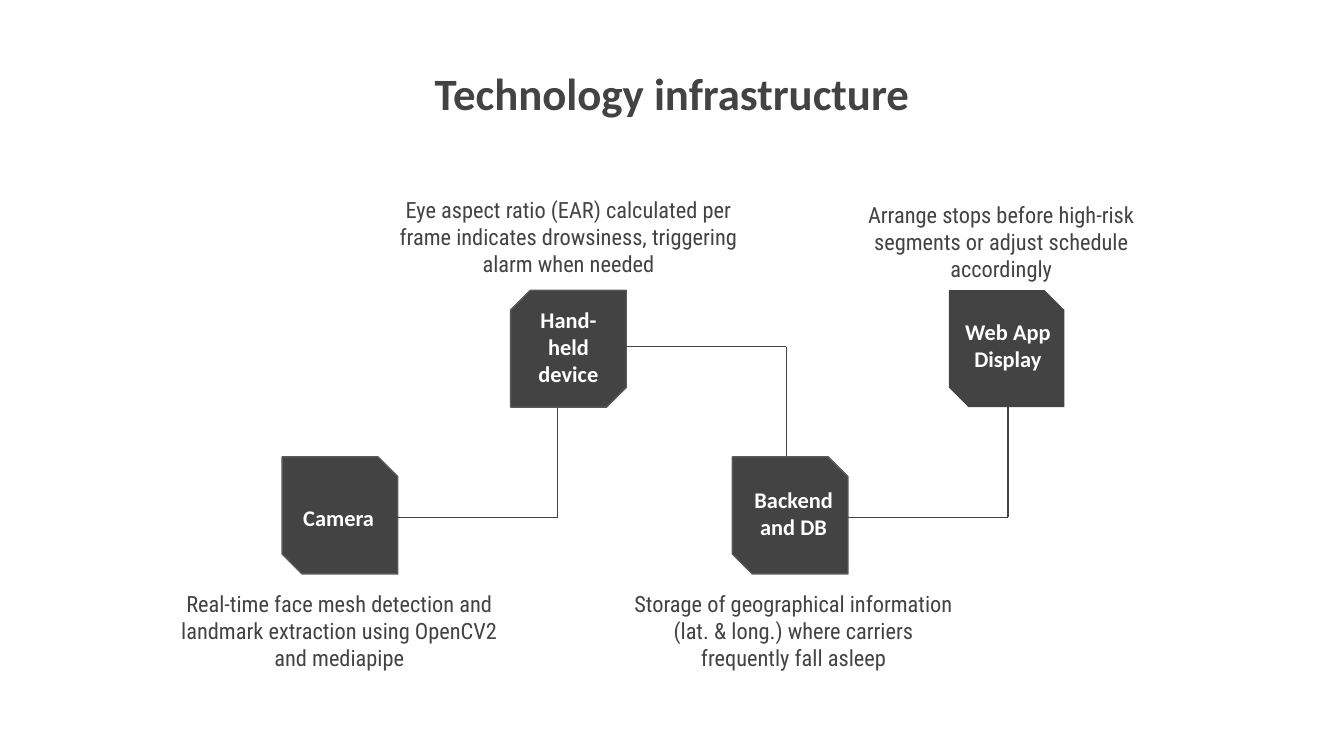
from dataclasses import dataclass

from lxml import etree
from pptx import Presentation
from pptx.dml.color import RGBColor
from pptx.enum.shapes import MSO_CONNECTOR, MSO_SHAPE
from pptx.enum.text import MSO_ANCHOR, MSO_AUTO_SIZE, PP_ALIGN
from pptx.oxml.ns import qn
from pptx.util import Inches, Pt

SNIP = MSO_SHAPE.SNIP_2_DIAG_RECTANGLE
LINE = MSO_CONNECTOR.STRAIGHT
TOP, MIDDLE = MSO_ANCHOR.TOP, MSO_ANCHOR.MIDDLE
CENTER = PP_ALIGN.CENTER
FIXED = MSO_AUTO_SIZE.NONE

Box = tuple[float, float, float, float]


@dataclass(frozen=True)
class Theme:
    dark: RGBColor = RGBColor(0x43, 0x43, 0x43)
    edge: RGBColor = RGBColor(0x59, 0x59, 0x59)
    light: RGBColor = RGBColor(0xFF, 0xFF, 0xFF)
    head: str = "Calibri"
    body: str = "Roboto Condensed"
    big: float = 24
    small: float = 12
    thin: float = 0.75


@dataclass(frozen=True)
class Step:
    col: int
    row: int
    name: str
    label: Box
    note: str
    place: Box
    anchor: MSO_ANCHOR = TOP
    last: bool = False


THEME = Theme()
PAGE = Inches(10)
COLS = (2.1, 3.8, 5.45, 7.06)
ROWS = (2.16, 3.4)
WIDE, HIGH = 0.86, 0.87
CUT = 0.17
START = 0.41            # where a line starts inside its box
LEVEL = (0.42, 0.45)    # height of the line within the box, by row
RUN, RISE = 1.64, 1.0

STEPS = (
    Step(0, 1, "Camera", (2.09, 3.65, WIDE, 0.43),
         "Real-time face mesh detection and landmark extraction using "
         "OpenCV2 and mediapipe", (1.24, 4.29, 2.57, 1.03)),
    Step(1, 0, "Hand-held device", (3.8, 2.18, WIDE, 0.43),
         "Eye aspect ratio (EAR) calculated per frame indicates drowsiness, "
         "triggering alarm when needed", (2.79, 1.36, 2.88, 0.73)),
    Step(2, 1, "Backend and DB", (5.4, 3.52, 1.01, 0.77),
         "Storage of geographical information (lat. & long.) where carriers "
         "frequently fall asleep", (4.59, 4.29, 2.63, 0.66)),
    Step(3, 0, "Web App Display", (7.07, 2.35, WIDE, 0.43),
         "Arrange stops before high-risk segments or adjust schedule "
         "accordingly", (6.31, 1.4, 2.28, 0.66), MIDDLE, True),
)


def write(shape, text: str, font: str, size: float, color: RGBColor,
          bold: bool, anchor: MSO_ANCHOR = TOP) -> None:
    frame = shape.text_frame
    frame.word_wrap = True
    frame.auto_size = FIXED
    frame.vertical_anchor = anchor
    frame.margin_left = frame.margin_right = Inches(0.1)
    frame.margin_top = frame.margin_bottom = Inches(0.1)
    para = frame.paragraphs[0]
    para.alignment = CENTER
    run = para.add_run()
    run.text = text
    run.font.name = font
    run.font.size = Pt(size)
    run.font.bold = bold
    run.font.color.rgb = color


def add_title(slide, text: str) -> None:
    title = slide.shapes.title
    title.left, title.top = Inches(2.15), Inches(0.39)
    title.width, title.height = Inches(5.7), Inches(1.03)
    write(title, text, THEME.head, THEME.big, THEME.dark, True)


def add_line(slide, x1: float, y1: float, x2: float, y2: float) -> None:
    line = slide.shapes.add_connector(
        LINE, Inches(x1), Inches(y1), Inches(x2), Inches(y2))
    line.line.color.rgb = THEME.dark
    line.line.width = Pt(THEME.thin)
    etree.SubElement(line._element.spPr, qn("a:effectLst"))


def add_link(slide, step: Step) -> None:
    """Run right from the step's box, then up or down to the next one."""
    x = COLS[step.col] + START
    y = ROWS[step.row] + LEVEL[step.row]
    turn = -RISE if step.row else RISE
    add_line(slide, x, y, x + RUN, y)
    add_line(slide, x + RUN, y, x + RUN, y + turn)


def add_box(slide, step: Step) -> None:
    box = slide.shapes.add_shape(
        SNIP, Inches(COLS[step.col]), Inches(ROWS[step.row]),
        Inches(WIDE), Inches(HIGH))
    flip = step.row == 0 and not step.last
    box.adjustments[0] = CUT if flip else 0
    box.adjustments[1] = 0 if flip else CUT
    box.shadow.inherit = False
    box.fill.solid()
    box.fill.fore_color.rgb = THEME.dark
    if step.last:
        box.line.fill.background()
    else:
        box.line.color.rgb = THEME.edge
        box.line.width = Pt(THEME.thin)


def add_text(slide, place: Box, text: str, font: str, color: RGBColor,
             bold: bool, anchor: MSO_ANCHOR = TOP) -> None:
    box = slide.shapes.add_textbox(*(Inches(v) for v in place))
    write(box, text, font, THEME.small, color, bold, anchor)


def main() -> None:
    deck = Presentation()
    deck.slide_width, deck.slide_height = PAGE, PAGE * 9 // 16
    slide = deck.slides.add_slide(deck.slide_layouts[5])
    add_title(slide, "Technology infrastructure")
    for step in STEPS:
        add_box(slide, step)
        if not step.last:
            add_link(slide, step)
    for step in STEPS:
        add_text(slide, step.label, step.name, THEME.head, THEME.light,
                 True, step.anchor)
        add_text(slide, step.place, step.note, THEME.body, THEME.dark, False)
    deck.save("out.pptx")


if __name__ == "__main__":
    main()
